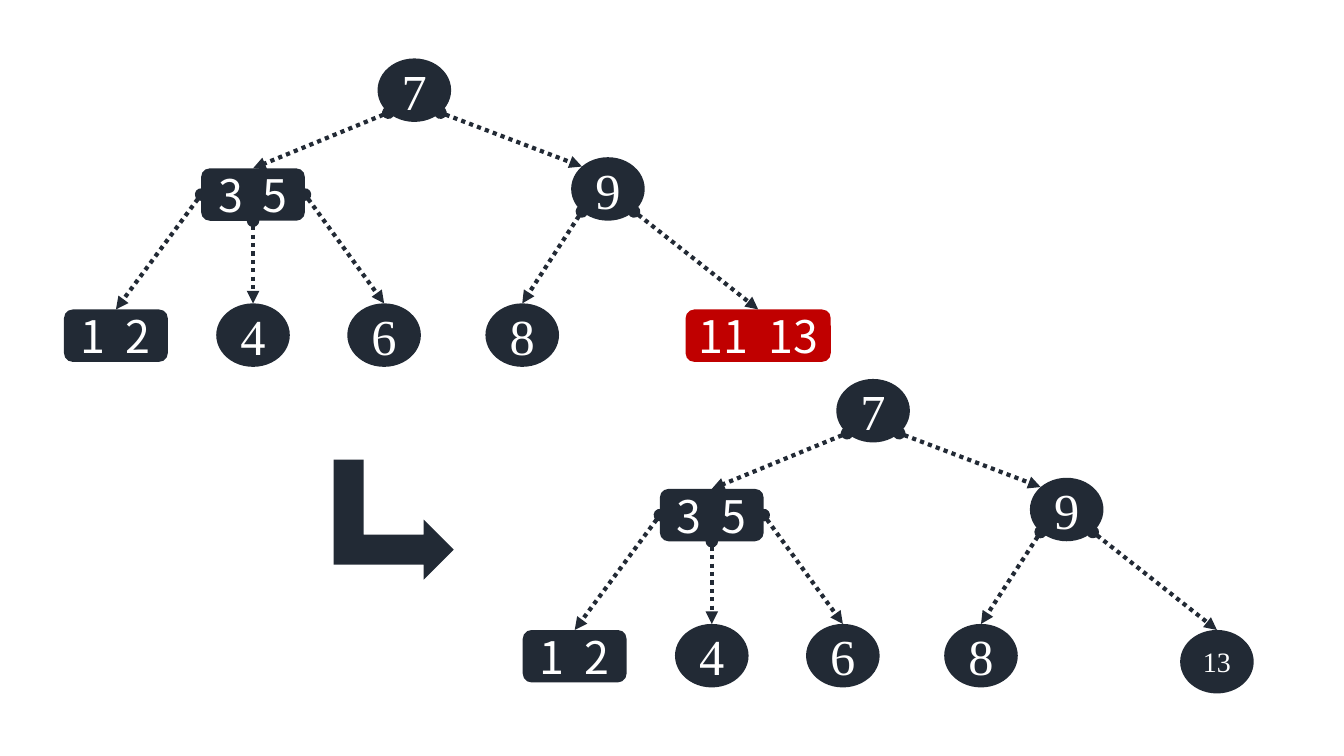
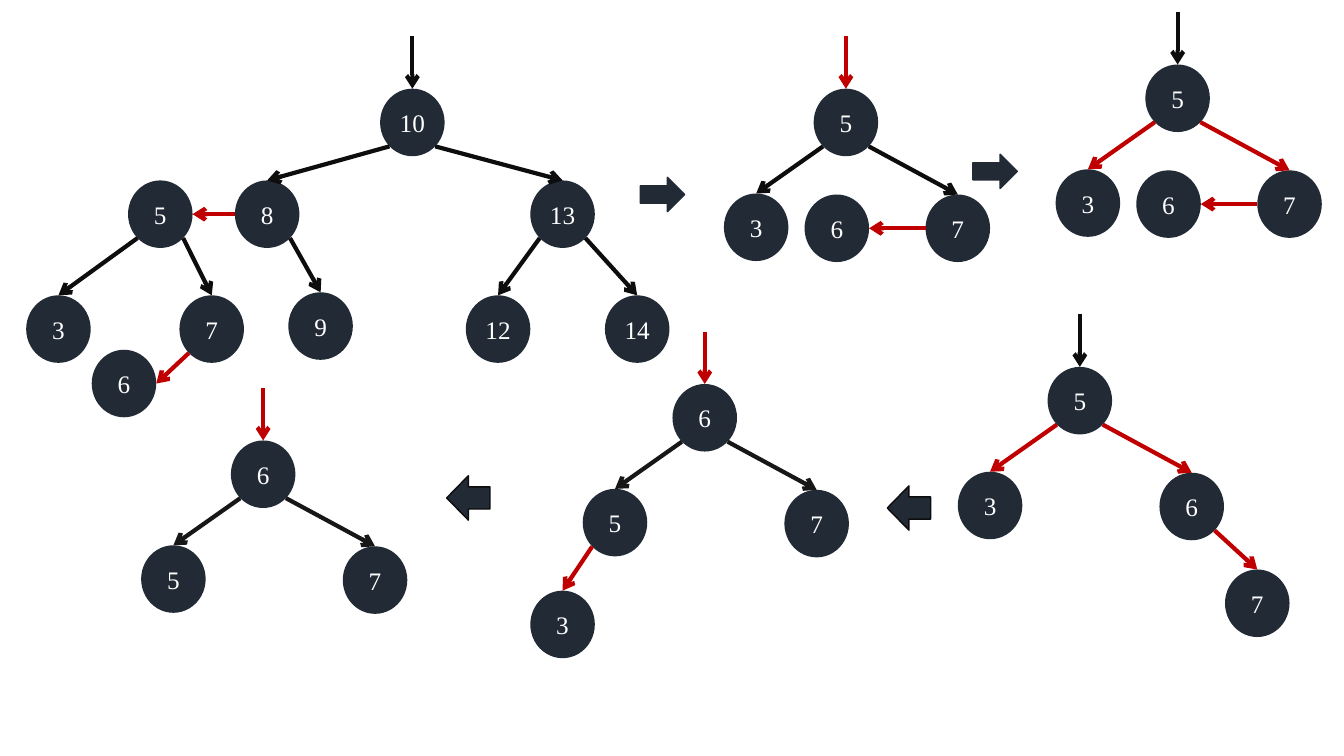
import pptx
import pptx.dml.color
import pptx.enum.dml
import pptx.enum.shapes
import pptx.enum.text
import pptx.oxml
import pptx.oxml.ns
import pptx.util

SHAPES = pptx.enum.shapes.MSO_SHAPE
EMU_PER_PX = 9144
NAVY, RED, BLACK, CHARCOAL, WHITE = "222A35", "C00000", "0D0D0D", "181717", "FFFFFF"

# Points on a shape where links attach, as fractions of its width and height
NEAR, FAR = 0.146, 0.854
SITES = {
    "top": (0.5, 0), "bottom": (0.5, 1), "left": (0, 0.5), "right": (1, 0.5),
    "top left": (NEAR, NEAR), "bottom left": (NEAR, FAR), "bottom right": (FAR, FAR),
}


def emu(pixels):
    return round(pixels * EMU_PER_PX)


def rgb(color):
    return pptx.dml.color.RGBColor.from_string(color)


def apply_format(target, values):
    for name, value in values.items():
        setattr(target, name, value)


class TreeDeck:
    """Holds the presentation, the current slide and the shared look of trees."""

    FRAME = {
        "word_wrap": False, "vertical_anchor": pptx.enum.text.MSO_ANCHOR.MIDDLE,
        "margin_left": 0, "margin_right": 0, "margin_top": 0, "margin_bottom": 0,
    }

    def __init__(self, width, height):
        self.presentation = pptx.Presentation()
        apply_format(self.presentation, {"slide_width": emu(width), "slide_height": emu(height)})
        self.slide = None

    def new_slide(self):
        blank_layout = self.presentation.slide_layouts[6]
        self.slide = self.presentation.slides.add_slide(blank_layout)

    def shape(self, kind, left, top, width, height, fill=NAVY, outline=None, rotation=0):
        shape = self.slide.shapes.add_shape(kind, emu(left), emu(top), emu(width), emu(height))
        shape.shadow.inherit = False
        shape.rotation = rotation
        shape.fill.solid()
        shape.fill.fore_color.rgb = rgb(fill)
        if outline:
            shape.line.color.rgb = rgb(outline)
            shape.line.width = pptx.util.Pt(1)
        else:
            shape.line.fill.background()
        return shape

    def node(self, text, center, top, size=(64, 67), points=18,
             kind=SHAPES.OVAL, font="Times New Roman", fill=NAVY):
        """Draw a labelled node, placed by its horizontal centre and its top."""
        width, height = size
        shape = self.shape(kind, center - width / 2, top, width, height, fill)
        apply_format(shape.text_frame, self.FRAME)
        paragraph = shape.text_frame.paragraphs[0]
        paragraph.alignment = pptx.enum.text.PP_ALIGN.CENTER
        run = paragraph.add_run()
        run.text = text
        apply_format(run.font, {"name": font, "size": pptx.util.Pt(points)})
        run.font.color.rgb = rgb(WHITE)
        return shape

    def round_node(self, text, center, top, points=36):
        return self.node(text, center, top, (73, 63), points)

    def key_box(self, text, center, top, width=103, fill=NAVY):
        return self.node(text, center, top, (width, 52), 32,
                         SHAPES.ROUNDED_RECTANGLE, "Noto Sans CJK SC", fill)

    def arrow(self, start, end, color, dotted=False):
        """Draw an arrow between two points given in EMU."""
        connector = self.slide.shapes.add_connector(
            pptx.enum.shapes.MSO_CONNECTOR.STRAIGHT, *start, *end)
        line = connector.line
        line.color.rgb = rgb(color)
        line.width = pptx.util.Pt(3)
        ends = {"tailEnd": "arrow"}
        if dotted:
            line.dash_style = pptx.enum.dml.MSO_LINE.ROUND_DOT
            ends = {"headEnd": "oval", "tailEnd": "triangle"}
        properties = connector._element.spPr
        outline = properties.find(pptx.oxml.ns.qn("a:ln"))
        for tag, kind in ends.items():
            end_mark = pptx.oxml.parse_xml(
                f'<a:{tag} {pptx.oxml.ns.nsdecls("a")} type="{kind}"/>')
            outline.append(end_mark)
        properties.append(pptx.oxml.parse_xml(f'<a:effectLst {pptx.oxml.ns.nsdecls("a")}/>'))

    @staticmethod
    def site(shape, name):
        across, down = SITES[name]
        return round(shape.left + across * shape.width), round(shape.top + down * shape.height)

    def link(self, parent, leave, child, enter="top", color=BLACK, dotted=False):
        self.arrow(self.site(parent, leave), self.site(child, enter), color, dotted)

    def entry(self, root, color):
        x, y = self.site(root, "top")
        self.arrow((x, y - emu(52)), (x, y), color)

    def small_tree(self, labels, center, top, entry_color, link_color):
        """Draw a root with two children and return the children."""
        root_label, left_label, right_label = labels
        root = self.node(root_label, center, top)
        left = self.node(left_label, center - 89, top + 104)
        right = self.node(right_label, center + 111, top + 105)
        self.link(root, "bottom left", left, color=link_color)
        self.link(root, "bottom right", right, color=link_color)
        self.entry(root, entry_color)
        return left, right


def add_key_tree(deck, x, y, add_last):
    """Draw the tree of keys moved by x and y; add_last draws its last leaf."""
    nodes = {}
    for text, center, top in (("7", 411, 58), ("9", 603, 156), ("4", 251, 301),
                              ("6", 381, 301), ("8", 518, 301)):
        nodes[text] = deck.round_node(text, center + x, top + y)
    for text, center, top in (("3  5", 251, 167), ("1  2", 115, 307)):
        nodes[text] = deck.key_box(text, center + x, top + y)
    nodes["last"] = add_last(752 + x, 307 + y)
    for parent, leave, child, enter in (
        ("7", "bottom left", "3  5", "top"),
        ("7", "bottom right", "9", "top left"),
        ("3  5", "left", "1  2", "top"),
        ("3  5", "bottom", "4", "top"),
        ("3  5", "right", "6", "top"),
        ("9", "bottom left", "8", "top"),
        ("9", "bottom right", "last", "top"),
    ):
        deck.link(nodes[parent], leave, nodes[child], enter, NAVY, dotted=True)


def add_key_removal(deck):
    deck.new_slide()
    add_key_tree(deck, 0, 0, lambda center, top: deck.key_box("11  13", center, top, 144, RED))
    add_key_tree(deck, 455, 318, lambda center, top: deck.round_node("13", center, top, 20))
    deck.shape(SHAPES.BENT_UP_ARROW, 331, 456, 119, 119, rotation=90)


def add_search_tree(deck):
    nodes = {text: deck.node(text, center, top) for text, center, top in (
        ("10", 409, 88), ("5", 159, 179), ("8", 265, 179), ("13", 558, 179),
        ("3", 58, 293), ("7", 210, 293), ("9", 318, 290), ("12", 494, 293),
        ("14", 632, 293), ("6", 123, 347))}
    for parent, side, child in (
        ("10", "left", "8"), ("10", "right", "13"), ("13", "left", "12"),
        ("13", "right", "14"), ("5", "left", "3"), ("5", "right", "7"),
        ("8", "right", "9"),
    ):
        deck.link(nodes[parent], f"bottom {side}", nodes[child])
    deck.link(nodes["8"], "left", nodes["5"], "right", RED)
    deck.link(nodes["7"], "bottom left", nodes["6"], "right", RED)
    deck.entry(nodes["10"], BLACK)


def add_node_removal(deck):
    deck.new_slide()
    add_search_tree(deck)

    for center, top, entry_color, link_color in ((839, 88, RED, BLACK), (1168, 64, BLACK, RED)):
        _, right = deck.small_tree("537", center, top, entry_color, link_color)
        middle = deck.node("6", center - 9, top + 105)
        deck.link(right, "left", middle, "right", RED)

    _, right = deck.small_tree("536", 1071, 364, BLACK, RED)
    deck.link(right, "bottom right", deck.node("7", 1247, 565), color=RED)

    left, _ = deck.small_tree("657", 699, 381, RED, CHARCOAL)
    deck.link(left, "bottom left", deck.node("3", 558, 586), color=RED)

    deck.small_tree("657", 261, 437, RED, CHARCOAL)

    for left, top in ((635, 176), (965, 153)):
        deck.shape(SHAPES.RIGHT_ARROW, left, top, 44, 34, outline=NAVY)
    for left, top in ((443, 472), (880, 482)):
        deck.shape(SHAPES.RIGHT_ARROW, left, top, 43, 44, outline=BLACK, rotation=180)


def main():
    deck = TreeDeck(1333, 750)
    add_key_removal(deck)
    add_node_removal(deck)
    deck.presentation.save("out.pptx")


if __name__ == "__main__":
    main()
